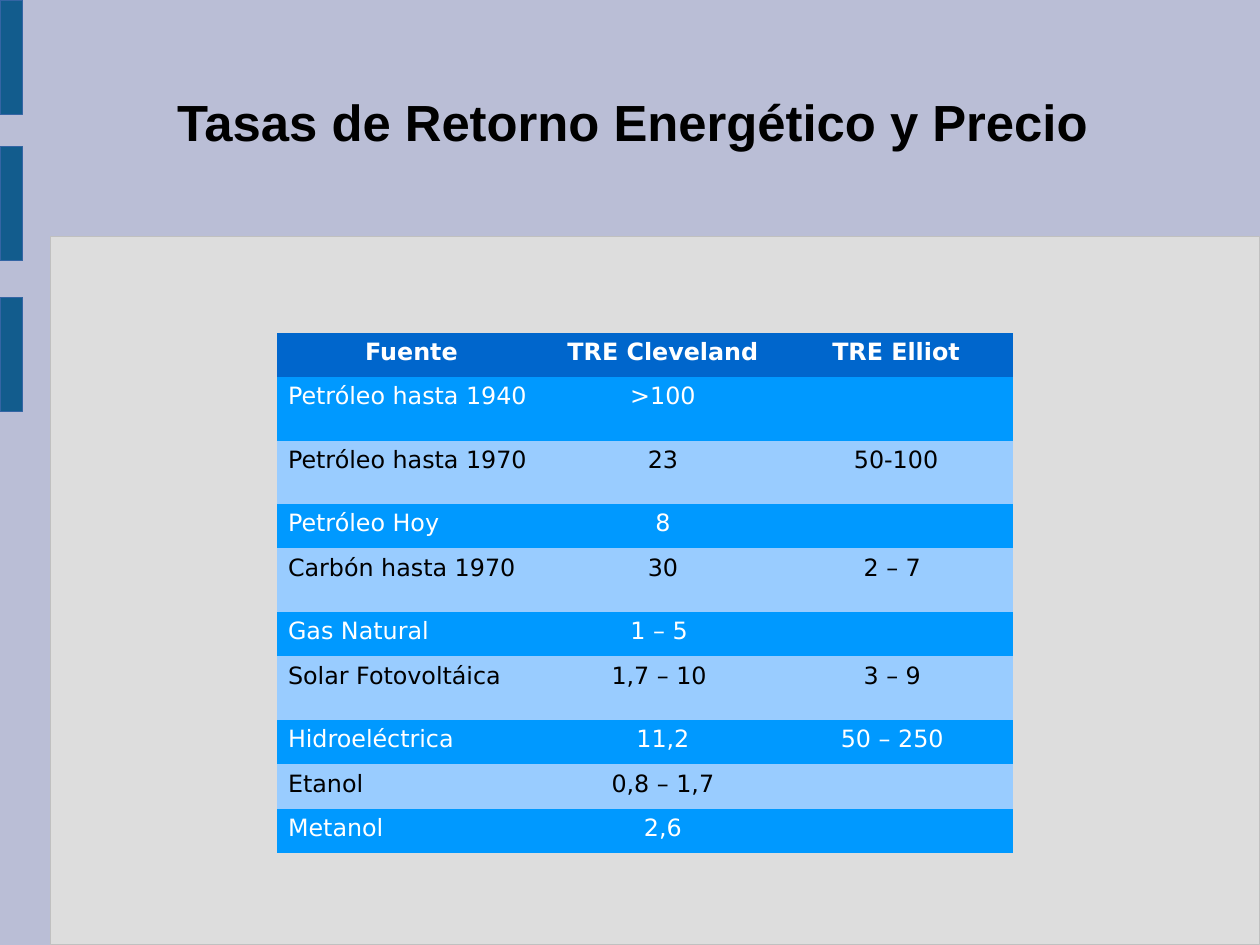
"""Build the slide on energy return rates, with its title, side bars and table."""
from pptx import Presentation, util as u
from pptx.dml.color import RGBColor
from pptx.enum import shapes, text

W, H = u.Cm(28), u.Cm(21)
TITLE = "Tasas de Retorno Energético y Precio"
ROWS = [
    ("Fuente", "TRE Cleveland", "TRE Elliot"),
    ("Petróleo hasta 1940", ">100", ""),
    ("Petróleo hasta 1970", "23", "50-100"),
    ("Petróleo Hoy", "8", ""),
    ("Carbón hasta 1970", "30", "2 – 7 "),
    ("Gas Natural", "1 – 5 ", ""),
    ("Solar Fotovoltáica", "1,7 – 10 ", "3 – 9 "),
    ("Hidroeléctrica", "11,2", "50 – 250 "),
    ("Etanol", "0,8 – 1,7", ""),
    ("Metanol", "2,6", ""),
]
TALL_ROWS = {1, 2, 4, 6}
COLS = [u.Inches(width) for width in (2.36, 2.04, 2.04)]
HEIGHTS = [u.Pt(40.1 if i in TALL_ROWS else 27.9) for i in range(len(ROWS))]
HEADER = ("0066CC", "FFFFFF")
BANDS = (("99CCFF", "000000"), ("0099FF", "FFFFFF"))
BAR_TOPS = (0, 2.6, 1.28)
PLAIN_STYLE = "{2D5ABB26-0587-4C30-8999-92F81FD0307C}"


def color(value):
    return RGBColor.from_string(value)


def write(tf, content, size=15, font="DejaVu Sans", fill="000000", bold=False, align="LEFT"):
    p = tf.paragraphs[0]
    p.alignment = getattr(text.PP_ALIGN, align)
    r = p.add_run()
    r.text = content
    r.font.size, r.font.name, r.font.bold = u.Pt(size), font, bold
    r.font.color.rgb = color(fill)


def add_rect(s, left, top, width, height, fill, line):
    sp = s.shapes.add_shape(shapes.MSO_SHAPE.RECTANGLE, left, top, width, height)
    sp.shadow.inherit = False
    sp.fill.solid()
    sp.fill.fore_color.rgb = color(fill)
    sp.line.color.rgb = color(line)
    sp.line.width = u.Pt(0)


def add_title(s):
    sp = s.shapes.title
    sp.left, sp.top, sp.width, sp.height = map(u.Inches, (1.45, 0.76, 8.27, 0.6))
    tf = sp.text_frame
    tf.word_wrap = True
    tf.auto_size = text.MSO_AUTO_SIZE.SHAPE_TO_FIT_TEXT
    write(tf, TITLE, size=32, font="Arial", bold=True)


def add_rates(s):
    frame = s.shapes.add_table(len(ROWS), len(COLS), u.Inches(2.42), u.Inches(2.91),
                               sum(COLS), sum(HEIGHTS))
    table = frame.table
    table.first_row = table.horz_banding = False
    frame._element.graphic.graphicData.tbl.tblPr[0].text = PLAIN_STYLE
    for column, width in zip(table.columns, COLS):
        column.width = width
    for i, values in enumerate(ROWS):
        table.rows[i].height = HEIGHTS[i]
        fill, ink = BANDS[i % 2] if i else HEADER
        for j, value in enumerate(values):
            cell = table.cell(i, j)
            cell.fill.solid()
            cell.fill.fore_color.rgb = color(fill)
            cell.margin_left = cell.margin_right = u.Inches(0.1)
            cell.margin_top = cell.margin_bottom = u.Inches(0.05 if value else 0)
            align = "LEFT" if i and not j else "CENTER"
            write(cell.text_frame, value, fill=ink, bold=not i, align=align)


def main():
    prs = Presentation()
    prs.slide_width, prs.slide_height = W, H
    s = prs.slides.add_slide(prs.slide_layouts[5])
    s.background.fill.solid()
    s.background.fill.fore_color.rgb = color("BABED6")
    left, top = u.Inches(0.44), u.Inches(2.07)
    add_rect(s, left, top, W - left, H - top, "DDDDDD", "C0C0C0")
    for bar_top in BAR_TOPS:
        add_rect(s, 0, u.Inches(bar_top), u.Inches(0.2), u.Inches(1), "125C8D", "3465A4")
    add_title(s)
    add_rates(s)
    prs.save("out.pptx")


if __name__ == "__main__":
    main()
